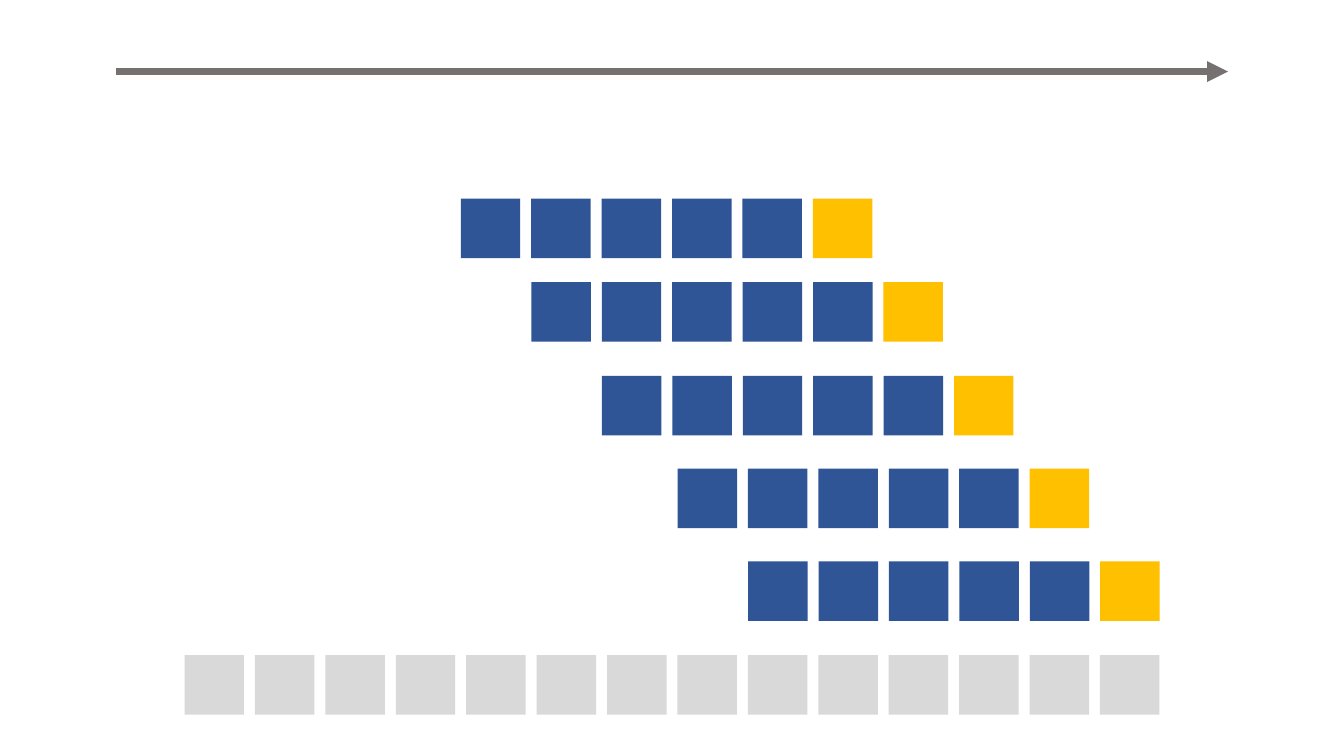
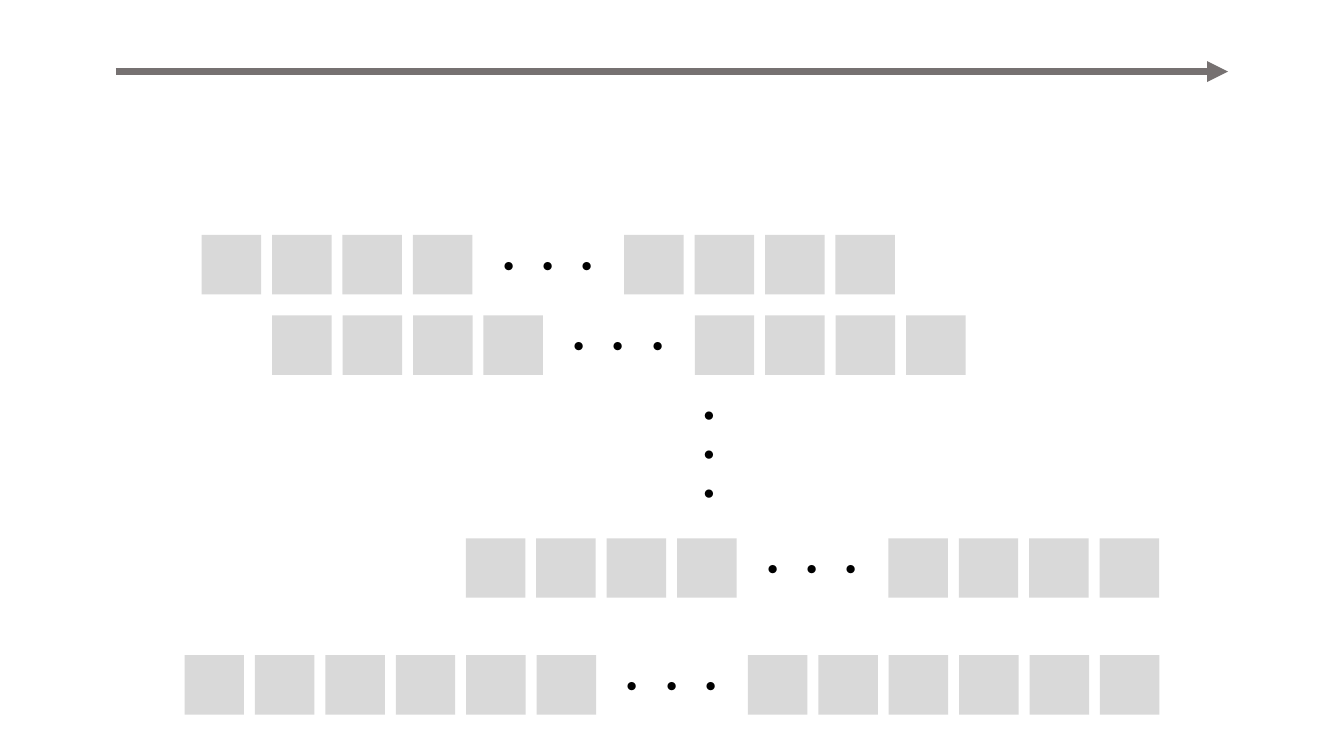
from dataclasses import dataclass
from lxml.etree import SubElement
from pptx import Presentation
from pptx.dml.color import RGBColor
from pptx.enum.shapes import MSO_CONNECTOR, MSO_SHAPE
from pptx.enum.text import MSO_AUTO_SIZE
from pptx.oxml.ns import qn
from pptx.util import Emu, Pt


@dataclass(frozen=True)
class Theme:
    axis: str = "767171"
    neutral: str = "D9D9D9"
    training: str = "2F5597"
    target: str = "FFC000"
    ink: str = "000000"
    font: str = "Noto Sans CJK JP"
    ellipsis_size: int = 28
    axis_width: int = 5


THEME = Theme()
PIXEL = 9144
PAGE_SIZE = (1333, 750)
SQUARE = 59
PITCH = 908 / 13
ELLIPSIS_TEXT = "・・・"
ELLIPSIS_SIZE = (138, 57)
ELLIPSIS_SHIFT = (-4, 2)
ELLIPSIS_SLOTS = 2
TIMELINE = (115, 71, 1218)
SERIES_ORIGIN = (183, 650)
SERIES_LENGTH = 14
WINDOW_FILLS = [THEME.training] * 5 + [THEME.target]
COLOUR_WINDOWS = ((742, 557), (672, 465), (597, 373), (527, 280), (457, 197))
GREY_WINDOWS = ((462, 534), (270, 313), (200, 233))
VERTICAL_ELLIPSIS = (635, 424)


def px(value):
    return Emu(round(value * PIXEL))


def apply_format(target, values):
    for name, value in values.items():
        setattr(target, name, value)


def add_timeline(page, box):
    left, top, right = map(px, box)
    arrow = page.shapes.add_connector(MSO_CONNECTOR.STRAIGHT, left, top, right, top)
    arrow.line.color.rgb = RGBColor.from_string(THEME.axis)
    arrow.line.width = Pt(THEME.axis_width)
    SubElement(arrow.line._get_or_add_ln(), qn("a:tailEnd"), type="triangle")
    SubElement(arrow._element.spPr, qn("a:effectLst"))


def add_squares(page, origin, fills):
    left, top = origin
    row = page.shapes.add_group_shape()
    for slot, fill in enumerate(fills):
        if fill is None:
            continue
        square = row.shapes.add_shape(
            MSO_SHAPE.RECTANGLE, px(left + slot * PITCH), px(top), px(SQUARE), px(SQUARE)
        )
        square.shadow.inherit = False
        square.fill.solid()
        square.fill.fore_color.rgb = RGBColor.from_string(fill)
        square.line.fill.background()


def add_ellipsis(page, origin, rotation=0):
    box = page.shapes.add_textbox(*map(px, origin + ELLIPSIS_SIZE))
    box.rotation = rotation
    apply_format(
        box.text_frame,
        {"word_wrap": False, "auto_size": MSO_AUTO_SIZE.SHAPE_TO_FIT_TEXT},
    )
    span = box.text_frame.paragraphs[0].add_run()
    span.text = ELLIPSIS_TEXT
    apply_format(span.font, {"name": THEME.font, "size": Pt(THEME.ellipsis_size)})
    span.font.color.rgb = RGBColor.from_string(THEME.ink)
    SubElement(span.font._element, qn("a:ea"), typeface=THEME.font)


def add_shortened_row(page, origin, side_count):
    side = [THEME.neutral] * side_count
    add_squares(page, origin, side + [None] * ELLIPSIS_SLOTS + side)
    left, top = origin
    shift_x, shift_y = ELLIPSIS_SHIFT
    add_ellipsis(page, (left + side_count * PITCH + shift_x, top + shift_y))


def add_page(deck):
    page = deck.slides.add_slide(deck.slide_layouts[6])
    add_timeline(page, TIMELINE)
    return page


def build_colour_page(deck):
    page = add_page(deck)
    add_squares(page, SERIES_ORIGIN, [THEME.neutral] * SERIES_LENGTH)
    for origin in COLOUR_WINDOWS:
        add_squares(page, origin, WINDOW_FILLS)


def build_grey_page(deck):
    page = add_page(deck)
    add_shortened_row(page, SERIES_ORIGIN, 6)
    for origin in GREY_WINDOWS:
        add_shortened_row(page, origin, 4)
    add_ellipsis(page, VERTICAL_ELLIPSIS, rotation=90)


def main():
    deck = Presentation()
    deck.slide_width, deck.slide_height = map(px, PAGE_SIZE)
    build_colour_page(deck)
    build_grey_page(deck)
    deck.save("out.pptx")


if __name__ == "__main__":
    main()
